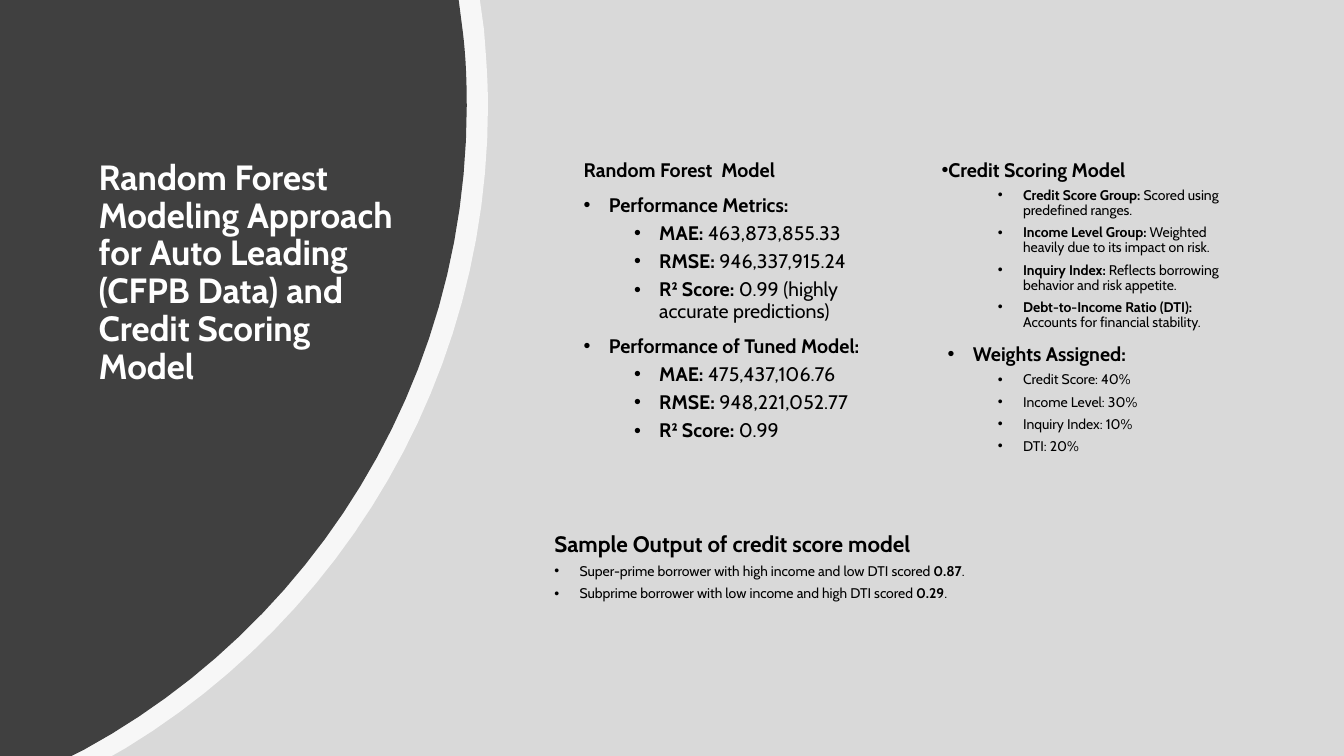
from dataclasses import dataclass
from lxml import etree
from pptx import Presentation, util as u
from pptx.dml.color import RGBColor
from pptx.enum import shapes
from pptx.oxml.ns import qn


@dataclass(frozen=True)
class Theme:
    font: str = "Cabin"
    back: str = "D9D9D9"
    dark: str = "404040"
    white: str = "FFFFFF"
    ink: str = "000000"
    title: int = 25
    lead: int = 16
    head: int = 14
    small: int = 10


T = Theme()
W, H = 13.33, 7.5
TOP = 1.54
STEPS = 24

MODEL = [
    ("*Random Forest  Model*", 0, T.head, 0, False),
    ("*Performance Metrics:*", 0, T.head, 0.25, True),
    ("*MAE:* 463,873,855.33", 1, T.head, 0.75, True),
    ("*RMSE:* 946,337,915.24", 1, T.head, 0.75, True),
    ("*R² Score:* 0.99 (highly accurate predictions)", 1, T.head, 0.75, True),
    ("*Performance of Tuned Model:*", 0, T.head, 0.25, True),
    ("*MAE:* 475,437,106.76", 1, T.head, 0.75, True),
    ("*RMSE:* 948,221,052.77", 1, T.head, 0.75, True),
    ("*R² Score:* 0.99", 1, T.head, 0.75, True),
]
CREDIT = [
    ("*Credit Scoring Model*", 0, T.head, 0, True),
    ("*Credit Score Group:* Scored using predefined ranges.", 1, T.small, 0.81, True),
    ("*Income Level Group:* Weighted heavily due to its impact on risk.", 1, T.small, 0.81, True),
    ("*Inquiry Index:* Reflects borrowing behavior and risk appetite.", 1, T.small, 0.81, True),
    ("*Debt-to-Income Ratio (DTI):* Accounts for financial stability.", 1, T.small, 0.81, True),
    ("*Weights Assigned:*", 0, T.head, 0.31, True),
    ("Credit Score: 40%", 1, T.small, 0.81, True),
    ("Income Level: 30%", 1, T.small, 0.81, True),
    ("Inquiry Index: 10%", 1, T.small, 0.81, True),
    ("DTI: 20%", 1, T.small, 0.81, True),
]
SAMPLE = [
    ("*Sample Output of credit score model*", 1, T.lead, 0.56, False),
    ("Super-prime borrower with high income and low DTI scored *0.87*.", 1, T.small, 0.81, True),
    ("Subprime borrower with low income and high DTI scored *0.29*.", 1, T.small, 0.81, True),
]


def bezier(a, b, c, d):
    for i in range(1, STEPS + 1):
        t = i / STEPS
        s = 1 - t
        yield tuple(s**3 * p + 3 * s * s * t * q + 3 * s * t * t * r + t**3 * v
                    for p, q, r, v in zip(a, b, c, d))


def paint(shape, color):
    shape.shadow.inherit = False
    shape.fill.solid()
    shape.fill.fore_color.rgb = RGBColor.from_string(color)
    shape.line.fill.background()


def arc(slide, top, knee, peak, pull, low, foot, color, alpha=None):
    pts = [top, knee, *bezier(knee, *peak), *bezier(peak[-1], *pull, low), (foot, H), (0, H)]
    pen = slide.shapes.build_freeform(0, 0)
    pen.add_line_segments([(u.Inches(x), u.Inches(y)) for x, y in pts], close=True)
    shape = pen.convert_to_shape()
    paint(shape, color)
    if alpha:
        tint = shape._element.spPr.find(qn("a:solidFill") + "/" + qn("a:srgbClr"))
        etree.SubElement(tint, qn("a:alpha")).set("val", str(alpha * 1000))


def backdrop(slide, box):
    paint(slide.shapes.add_shape(shapes.MSO_SHAPE.RECTANGLE, *map(u.Inches, box)), T.back)
    arc(slide, (4.76, 0), (4.8, 0.29), [(4.82, 0.54), (4.84, 0.8), (4.84, 1.05)],
        [(4.84, 3.75), (3.4, 6.11)], (1.25, 7.42), 1.11, T.white, 80)
    arc(slide, (4.55, 0), (4.59, 0.31), [(4.62, 0.55), (4.63, 0.8), (4.63, 1.05)],
        [(4.63, 3.81), (3.09, 6.21)], (0.83, 7.44), 0.71, T.dark)


def indent(para, left, dot):
    props = para._p.get_or_add_pPr()
    props.set("marL", str(u.Inches(left)))
    props.set("indent", str(u.Inches(-0.25 if dot else 0)))
    if dot:
        etree.SubElement(props, qn("a:buFont")).set("typeface", "Arial")
        etree.SubElement(props, qn("a:buChar")).set("char", "•")


def style(font, size, color):
    font.name = T.font
    font.size = u.Pt(size)
    font.color.rgb = RGBColor.from_string(color)


def block(slide, box, rows, color=T.ink):
    frame = slide.shapes.add_textbox(*map(u.Inches, box)).text_frame
    frame.word_wrap = True
    for i, (words, level, size, left, dot) in enumerate(rows):
        para = frame.paragraphs[0] if i == 0 else frame.add_paragraph()
        para.level = level
        para.line_spacing = 0.9
        para.space_before = u.Pt(5 if level else 10)
        indent(para, left, dot)
        style(para.font, size, color)
        for j, part in enumerate(words.split("*")):
            if part:
                run = para.add_run()
                run.text = part
                run.font.bold = j % 2 == 1


def main():
    deck = Presentation()
    deck.slide_width, deck.slide_height = u.Inches(W), u.Inches(H)
    slide = deck.slides.add_slide(deck.slide_layouts[6])
    backdrop(slide, (0, 0, W, H))
    title = "*Random Forest Modeling Approach for Auto Leading (CFPB Data) and Credit Scoring Model*"
    block(slide, (0.88, TOP, 3.14, 2.36), [(title, 0, T.title, 0, False)], T.white)
    block(slide, (5.69, TOP, 3.2, 4.77), MODEL)
    block(slide, (9.24, TOP, 3.2, 3.41), CREDIT)
    block(slide, (4.84, 5.24, 6.49, 0.79), SAMPLE)
    deck.save("out.pptx")


if __name__ == "__main__":
    main()
